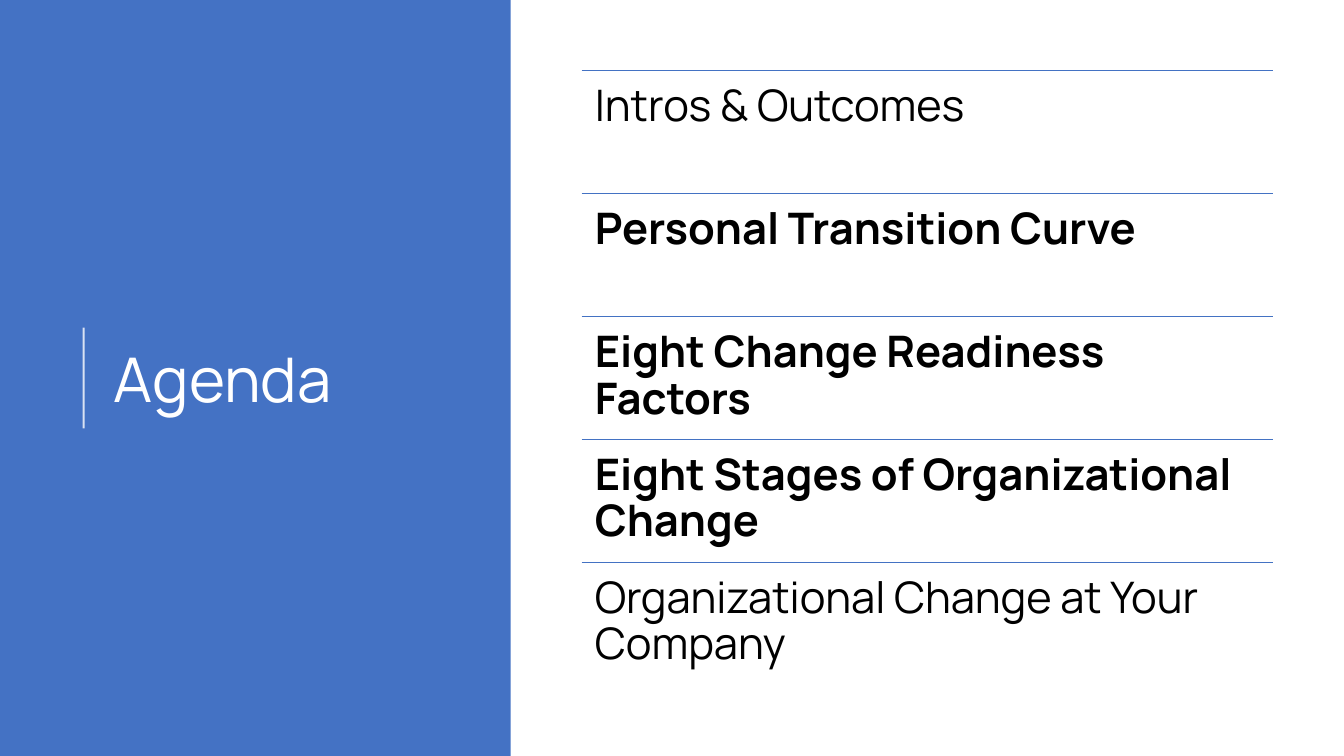
from dataclasses import dataclass

import pptx
import pptx.dml.color
import pptx.enum.shapes
import pptx.enum.text
import pptx.util
from lxml import etree

A = "{http://schemas.openxmlformats.org/drawingml/2006/main}"
Inches = pptx.util.Inches
Pt = pptx.util.Pt
RGB = pptx.dml.color.RGBColor.from_string
Anchor = pptx.enum.text.MSO_ANCHOR


@dataclass(frozen=True)
class Theme:
    """Colours, type and line widths of the slide."""
    font: str = "Manrope"
    panel: str = "4472C4"
    rule: str = "4372C3"
    light: str = "FFFFFF"
    dark: str = "000000"
    title_size: float = 44
    item_size: float = 31
    rule_width: float = 1
    accent_width: float = 1.5


THEME = Theme()
WIDTH, HEIGHT = 13.33, 7.5
PANEL_SHARE = 0.38
LIST_LEFT, LIST_TOP, LIST_WIDTH, ROW_HEIGHT = 5.77, 0.7, 6.86, 1.22
AGENDA = [  # wording, bold
    ("Intros & Outcomes", False),
    ("Personal Transition Curve", True),
    ("Eight Change Readiness Factors", True),
    ("Eight Stages of Organizational Change", True),
    ("Organizational Change at Your Company", False),
]


def add_panel(slide, width, height):
    """Fill the left side of the slide with a plain colour."""
    sp = slide.shapes.add_shape(pptx.enum.shapes.MSO_SHAPE.RECTANGLE,
                                0, 0, Inches(width), Inches(height))
    sp.shadow.inherit = False
    sp.fill.solid()
    sp.fill.fore_color.rgb = RGB(THEME.panel)
    sp.line.fill.background()


def add_line(slide, start, end, color, width, opacity=100):
    """Draw a straight line without shadow; opacity is a percentage."""
    line = slide.shapes.add_connector(pptx.enum.shapes.MSO_CONNECTOR.STRAIGHT,
                                      *(Inches(v) for v in (*start, *end)))
    line.line.color.rgb = RGB(color)
    line.line.width = Pt(width)
    props = line._element.spPr
    if opacity < 100:
        rgb = props.find(f".//{A}srgbClr")
        etree.SubElement(rgb, f"{A}alpha", val=str(opacity * 1000))
    etree.SubElement(props, f"{A}effectLst")


def add_text(slide, box, text, size, color, inset, anchor=Anchor.TOP, bold=False):
    """Place one wrapped paragraph in a text box."""
    tf = slide.shapes.add_textbox(*(Inches(v) for v in box)).text_frame
    tf.word_wrap = True
    tf.vertical_anchor = anchor
    tf.margin_left = tf.margin_right = Inches(inset)
    tf.margin_top = tf.margin_bottom = Inches(inset)
    p = tf.paragraphs[0]
    p.text = text
    p.line_spacing = 0.9
    p.font.name = THEME.font
    p.font.size = Pt(size)
    p.font.bold = bold
    p.font.color.rgb = RGB(color)


def add_agenda(slide, items):
    """Stack the agenda items in equal rows, each under a rule."""
    for row, (text, bold) in enumerate(items):
        top = LIST_TOP + row * ROW_HEIGHT
        add_line(slide, (LIST_LEFT, top), (LIST_LEFT + LIST_WIDTH, top),
                 THEME.rule, THEME.rule_width)
        add_text(slide, (LIST_LEFT, top, LIST_WIDTH, ROW_HEIGHT), text,
                 THEME.item_size, THEME.dark, 0.13, bold=bold)


def main():
    """Build and save the agenda slide."""
    prs = pptx.Presentation()
    prs.slide_width, prs.slide_height = Inches(WIDTH), Inches(HEIGHT)
    slide = prs.slides.add_slide(prs.slide_layouts[6])
    add_panel(slide, WIDTH * PANEL_SHARE, HEIGHT)
    add_line(slide, (0.83, HEIGHT / 2 + 0.5), (0.83, HEIGHT / 2 - 0.5),
             THEME.light, THEME.accent_width, opacity=80)
    add_text(slide, (1.03, 0.78, 3.69, 6.02), "Agenda", THEME.title_size,
             THEME.light, 0.1, Anchor.MIDDLE)
    add_agenda(slide, AGENDA)
    prs.save("out.pptx")


main()
